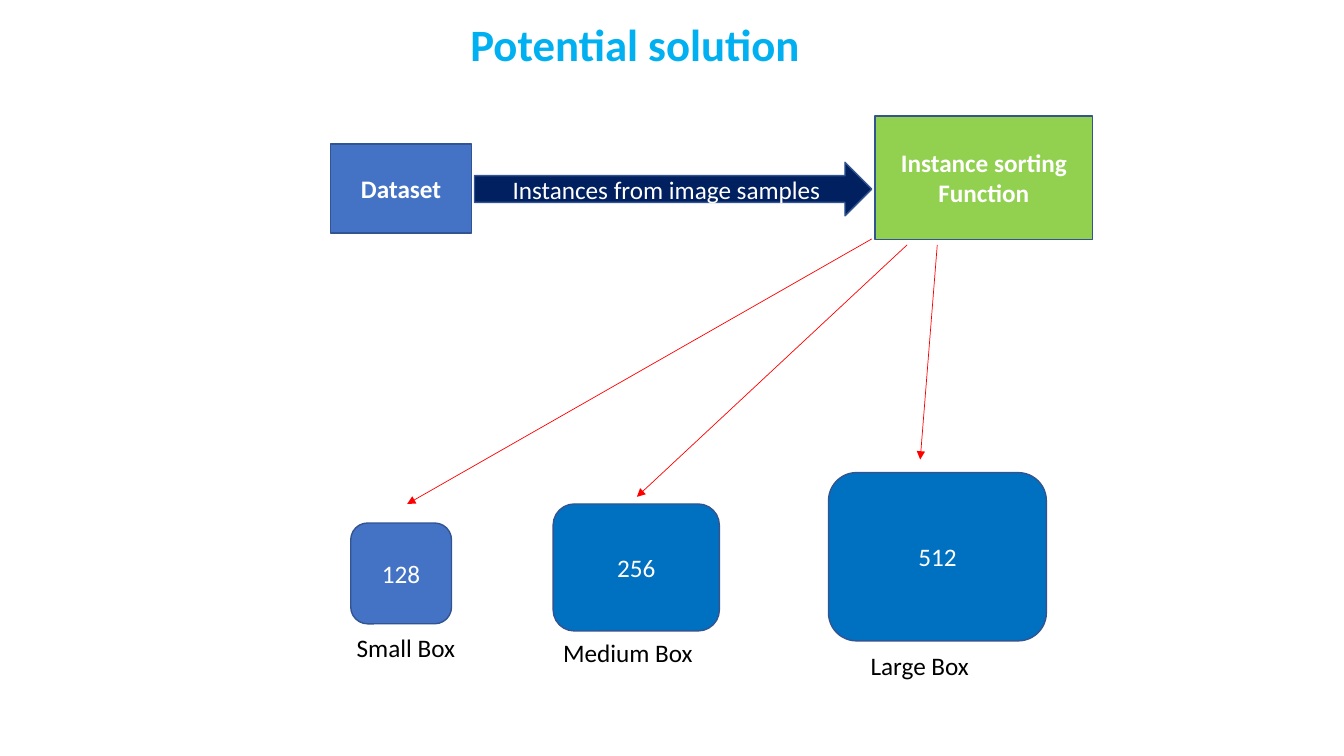
from lxml.etree import SubElement
from pptx import Presentation
from pptx.dml.color import RGBColor
from pptx.enum.shapes import MSO_CONNECTOR as CONNECTOR, MSO_SHAPE as SHAPE
from pptx.enum.text import MSO_ANCHOR as ANCHOR, PP_ALIGN as ALIGN
from pptx.oxml.ns import qn
from pptx.util import Cm, Pt

COLORS = {
    "title": "00B0F0",
    "blue": "4472C4",
    "box": "0070C0",
    "navy": "002060",
    "green": "92D050",
    "outline": "325491",
    "red": "FF0000",
    "white": "FFFFFF",
    "black": "000000",
}


def color(name):
    return RGBColor.from_string(COLORS[name])


def write(shape, text, size, color_name, bold=False, align=ALIGN.LEFT, anchor=ANCHOR.MIDDLE):
    frame = shape.text_frame
    frame.word_wrap = True
    frame.vertical_anchor = anchor
    paragraph = frame.paragraphs[0]
    paragraph.alignment = align
    run = paragraph.add_run()
    run.text = text
    run.font.name = "Calibri"
    run.font.size = Pt(size)
    run.font.bold = bold
    run.font.color.rgb = color(color_name)


presentation = Presentation()
presentation.slide_width, presentation.slide_height = Cm(33.87), Cm(19.05)
slide = presentation.slides.add_slide(presentation.slide_layouts[5])

# Title
title = slide.shapes.title
title.left, title.top, title.width, title.height = Cm(11.6), Cm(0.51), Cm(19.95), Cm(1.37)
write(title, "Potential solution", 32, "title", bold=True)
title.text_frame.paragraphs[0].line_spacing = 0.9

# Flow from the dataset to the sorting function, and the three size boxes
blocks = [
    (SHAPE.RECTANGLE, "Dataset", "blue", True, 8.33, 3.63, 3.56, 2.24),
    (SHAPE.RIGHT_ARROW, "Instances from image samples", "navy", False, 11.96, 4.09, 10.01, 1.35),
    (SHAPE.RECTANGLE, "Instance sorting Function", "green", True, 22.05, 2.92, 5.49, 3.12),
    (SHAPE.ROUNDED_RECTANGLE, "128", "blue", False, 8.84, 13.18, 2.54, 2.54),
    (SHAPE.ROUNDED_RECTANGLE, "256", "box", False, 13.94, 12.7, 4.19, 3.2),
    (SHAPE.ROUNDED_RECTANGLE, "512", "box", False, 20.88, 11.91, 5.49, 4.24),
]
for kind, text, fill, bold, left, top, width, height in blocks:
    shape = slide.shapes.add_shape(kind, Cm(left), Cm(top), Cm(width), Cm(height))
    shape.shadow.inherit = False
    shape.fill.solid()
    shape.fill.fore_color.rgb = color(fill)
    shape.line.color.rgb = color("outline")
    shape.line.width = Pt(1)
    write(shape, text, 18, "white", bold, ALIGN.CENTER)

# Box captions
captions = [
    ("Small Box", 8.74, 15.82, 3.05),
    ("Medium Box", 13.94, 15.93, 4.19),
    ("Large Box", 21.69, 16.26, 3.05),
]
for text, left, top, width in captions:
    caption = slide.shapes.add_textbox(Cm(left), Cm(top), Cm(width), Cm(1.02))
    write(caption, text, 18, "black", anchor=ANCHOR.TOP)

# Arrows from the sorting function to the boxes
arrows = [
    (21.97, 6.02, 10.26, 12.7),
    (22.86, 6.17, 16.05, 12.52),
    (23.62, 6.17, 23.19, 11.58),
]
for ends in arrows:
    arrow = slide.shapes.add_connector(CONNECTOR.STRAIGHT, *map(Cm, ends))
    arrow.line.color.rgb = color("red")
    arrow.line.width = Pt(0.5)
    SubElement(arrow.line._get_or_add_ln(), qn("a:tailEnd"), type="triangle")
    SubElement(arrow._element.spPr, qn("a:effectLst"))

presentation.save("out.pptx")
